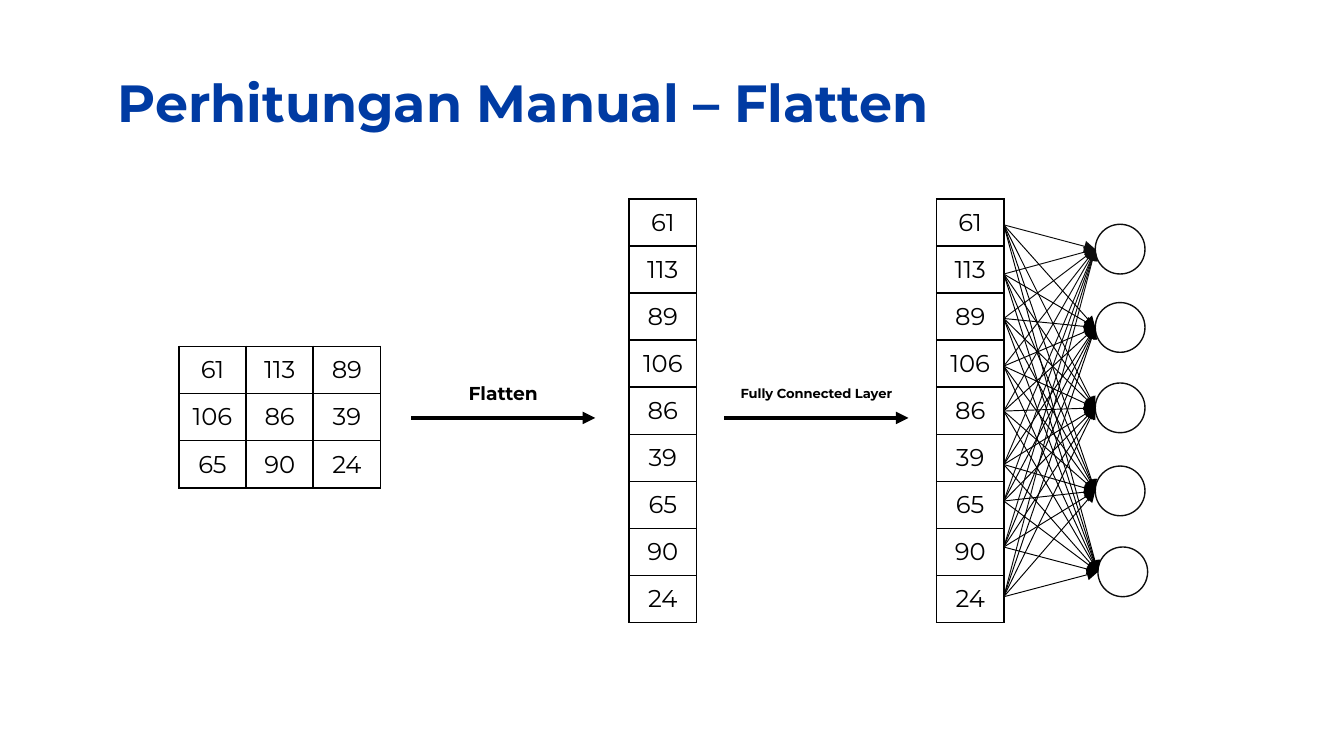
import pptx
import pptx.util
import pptx.dml.color
import pptx.enum.shapes
import pptx.enum.text
import pptx.oxml
import pptx.oxml.ns
from lxml import etree

Cm = pptx.util.Cm
Pt = pptx.util.Pt
ALIGN = pptx.enum.text.PP_ALIGN
ANCHOR = pptx.enum.text.MSO_ANCHOR

FONT = "Montserrat"
BLACK, INK, WHITE, BLUE = "000000", "0D0D0D", "FFFFFF", "003BA3"

HEADING = "Perhitungan Manual – Flatten"
FEATURE_MAP = [[61, 113, 89], [106, 86, 39], [65, 90, 24]]
FLAT_VECTOR = [[value] for row in FEATURE_MAP for value in row]
GRIDS = [
    (FEATURE_MAP, 3.38, 6.55),
    (FLAT_VECTOR, 11.89, 3.76),
    (FLAT_VECTOR, 17.7, 3.76),
]
STEPS = [
    ("Flatten", 10, 7.77, 7.09, 0.69),
    ("Fully Connected Layer", 7, 13.69, 7.16, 0.56),
]
NEURONS = [(20.7, 4.24), (20.7, 5.72), (20.7, 7.24), (20.7, 8.81), (20.75, 10.34)]
INPUT_HEIGHTS = [4.25, 5.18, 6.02, 6.92, 7.77, 8.78, 9.47, 10.34, 11.28]

CELL_WIDTH, CELL_HEIGHT = 1.27, 0.89
STEP_LENGTH, STEP_HEIGHT = 3.48, 7.9
NEURON_SIZE = 0.94
VECTOR_EDGE = GRIDS[-1][1] + CELL_WIDTH


def color(hex_value):
    return pptx.dml.color.RGBColor.from_string(hex_value)


def style(paragraph, size, hex_value, bold=False, align=ALIGN.CENTER):
    paragraph.alignment = align
    paragraph.font.name = FONT
    paragraph.font.size = Pt(size)
    paragraph.font.bold = bold
    paragraph.font.color.rgb = color(hex_value)


def add_borders(cell):
    properties = cell._tc.get_or_add_tcPr()
    for position, side in enumerate(("lnL", "lnR", "lnT", "lnB")):
        border = pptx.oxml.parse_xml(
            f'<a:{side} {pptx.oxml.ns.nsdecls("a")} w="{Pt(1)}">'
            f'<a:solidFill><a:srgbClr val="{BLACK}"/></a:solidFill></a:{side}>'
        )
        properties.insert(position, border)


def add_grid(slide, values, left, top):
    rows, columns = len(values), len(values[0])
    grid = slide.shapes.add_table(
        rows, columns, Cm(left), Cm(top),
        Cm(columns * CELL_WIDTH), Cm(rows * CELL_HEIGHT),
    ).table
    grid.first_row = grid.horz_banding = False
    for column in grid.columns:
        column.width = Cm(CELL_WIDTH)
    for row, row_values in zip(grid.rows, values):
        row.height = Cm(CELL_HEIGHT)
        for cell, value in zip(row.cells, row_values):
            cell.text = str(value)
            cell.vertical_anchor = ANCHOR.MIDDLE
            cell.margin_left = cell.margin_right = Cm(0.1)
            cell.fill.solid()
            cell.fill.fore_color.rgb = color(WHITE)
            add_borders(cell)
            style(cell.text_frame.paragraphs[0], 13, BLACK)


def add_arrow(slide, start, end, width, hex_value):
    arrow = slide.shapes.add_connector(
        pptx.enum.shapes.MSO_CONNECTOR.STRAIGHT, *map(Cm, start + end)
    )
    arrow.line.width = Pt(width)
    arrow.line.color.rgb = color(hex_value)
    tail = etree.SubElement(arrow.line._get_or_add_ln(), pptx.oxml.ns.qn("a:tailEnd"))
    tail.set("type", "triangle")
    etree.SubElement(arrow._element.spPr, pptx.oxml.ns.qn("a:effectLst"))


def add_step(slide, caption, size, left, top, height):
    add_arrow(slide, (left, STEP_HEIGHT), (left + STEP_LENGTH, STEP_HEIGHT), 2.25, BLACK)
    frame = slide.shapes.add_textbox(
        Cm(left), Cm(top), Cm(STEP_LENGTH), Cm(height)
    ).text_frame
    frame.word_wrap = True
    frame.auto_size = pptx.enum.text.MSO_AUTO_SIZE.SHAPE_TO_FIT_TEXT
    frame.text = caption
    style(frame.paragraphs[0], size, BLACK, bold=True)


def add_neuron(slide, left, top):
    neuron = slide.shapes.add_shape(
        pptx.enum.shapes.MSO_SHAPE.OVAL,
        Cm(left), Cm(top), Cm(NEURON_SIZE), Cm(NEURON_SIZE),
    )
    neuron.shadow.inherit = False
    neuron.fill.solid()
    neuron.fill.fore_color.rgb = color(WHITE)
    neuron.line.color.rgb = color(INK)
    neuron.line.width = Pt(0.75)


def add_heading(slide):
    title = slide.shapes.title
    title.left, title.top, title.width, title.height = map(Cm, (1.98, 1.07, 21.44, 1.6))
    frame = title.text_frame
    frame.text = HEADING
    frame.word_wrap = True
    frame.auto_size = pptx.enum.text.MSO_AUTO_SIZE.NONE
    frame.vertical_anchor = ANCHOR.TOP
    frame.margin_left = frame.margin_right = Cm(0.25)
    frame.margin_top = frame.margin_bottom = Cm(0.25)
    style(frame.paragraphs[0], 28, BLUE, bold=True, align=ALIGN.LEFT)


def main():
    presentation = pptx.Presentation()
    presentation.slide_width = Cm(25.4)
    presentation.slide_height = Cm(14.29)
    slide = presentation.slides.add_slide(presentation.slide_layouts[5])

    add_heading(slide)
    for grid in GRIDS:
        add_grid(slide, *grid)
    for step in STEPS:
        add_step(slide, *step)
    for neuron in NEURONS:
        add_neuron(slide, *neuron)
    for index, (left, top) in enumerate(NEURONS):
        for height in INPUT_HEIGHTS:
            add_arrow(
                slide, (VECTOR_EDGE, height), (left, top + NEURON_SIZE / 2),
                0.5, BLACK if index else INK,
            )

    presentation.save("out.pptx")


if __name__ == "__main__":
    main()
